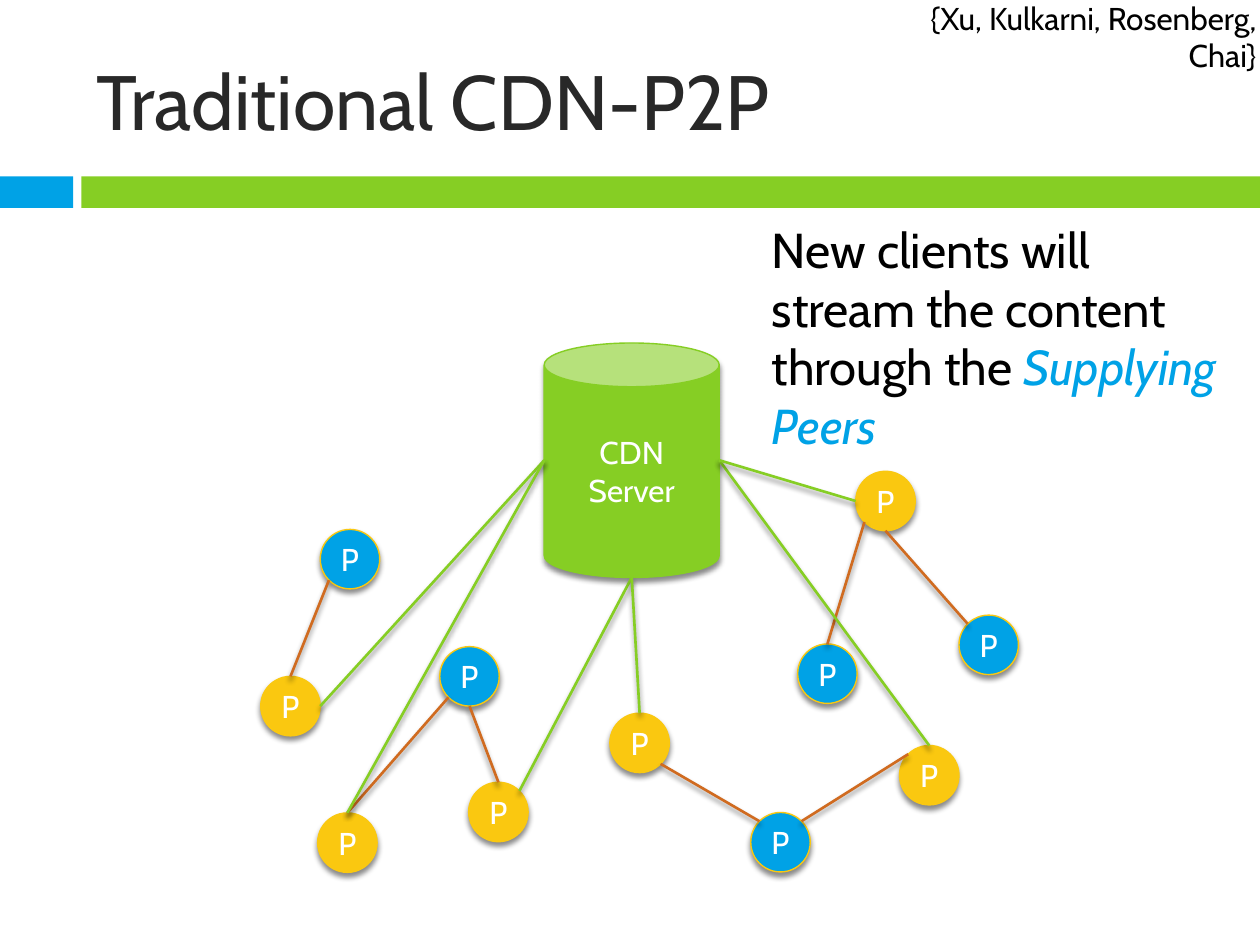
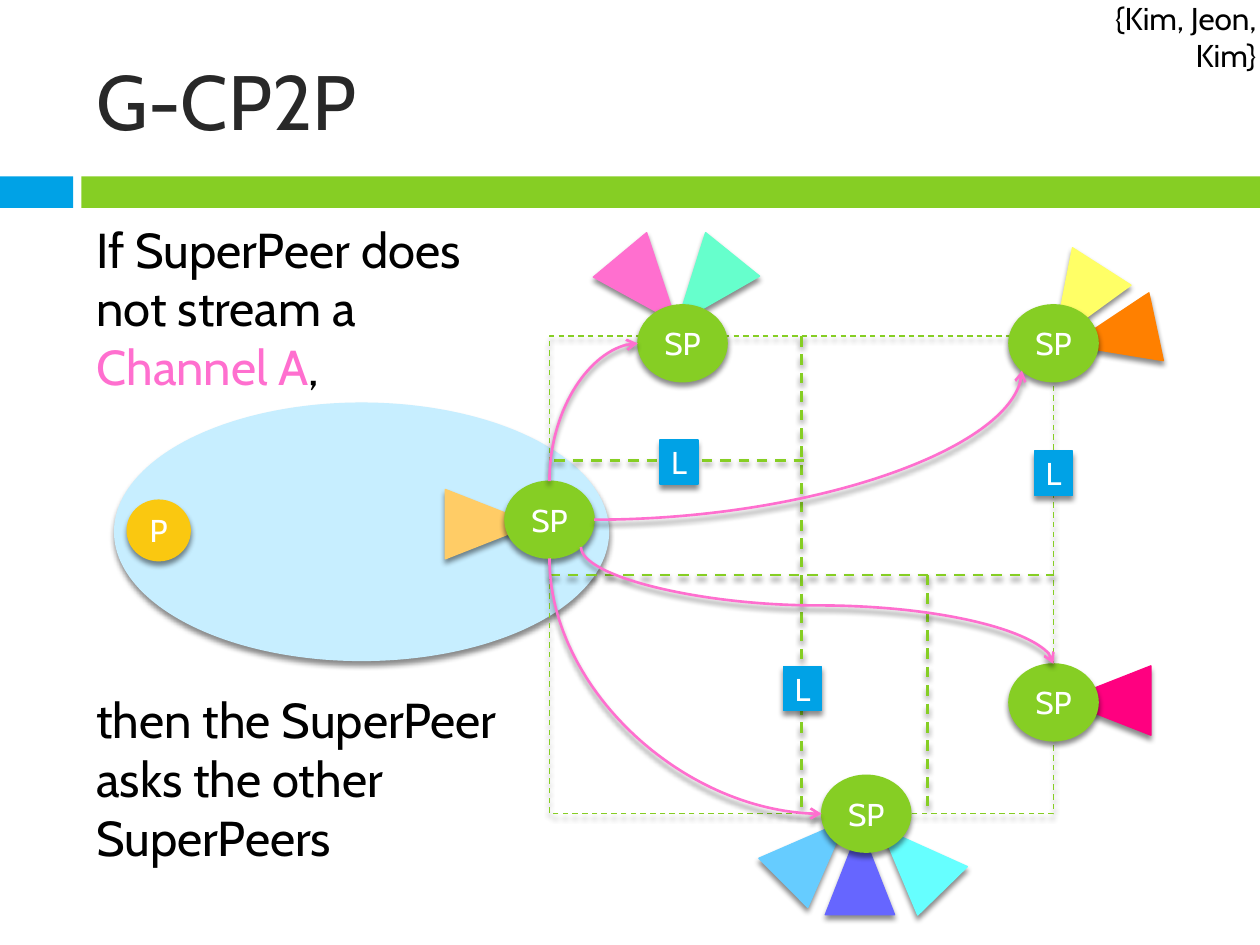
from dataclasses import dataclass
from math import sqrt

from lxml.etree import SubElement
from pptx import Presentation
from pptx.dml.color import RGBColor
from pptx.enum.dml import MSO_LINE
from pptx.enum.shapes import MSO_CONNECTOR as Link, MSO_SHAPE as Form
from pptx.enum.text import MSO_ANCHOR as Anchor, PP_ALIGN as Align
from pptx.oxml.ns import qn
from pptx.util import Pt


@dataclass(frozen=True)
class Theme:
    font: str = "Cabin"
    title_size: int = 44
    body_size: int = 28
    label_size: int = 18
    outline: float = 0.8
    stroke: float = 1.5
    title: str = "282828"
    text: str = "000000"
    white: str = "FFFFFF"
    blue: str = "00A2E6"
    green: str = "86CE24"
    gold: str = "FAC810"
    rust: str = "D06B20"
    pink: str = "FF6FCF"
    pale_blue: str = "C7EEFF"


THEME = Theme()


@dataclass(frozen=True)
class Box:
    left: float
    top: float
    width: float
    height: float

    def at(self, dx, dy):
        return self.left + dx, self.top + dy

    def inner(self, dx, dy, width, height):
        return Box(*self.at(dx, dy), width, height)

    def centred(self, dx, dy, width, height):
        return self.inner(dx - width / 2, dy - height / 2, width, height)

    def site(self, compass):
        """Point where a link meets the outline of an ellipse filling the box."""
        east = ("e" in compass) - ("w" in compass)
        south = ("s" in compass) - ("n" in compass)
        reach = 1 / sqrt(2) if east and south else 1
        return self.at(self.width * (1 + east * reach) / 2,
                       self.height * (1 + south * reach) / 2)

    def emu(self):
        return [Pt(n) for n in (self.left, self.top, self.width, self.height)]


SLIDE = Box(0, 0, 720, 540)
TITLE = Box(48, 18, 642, 78)
BAND = Box(0, 100.8, 720, 18)


def write(shape, paragraphs, size=THEME.label_size, color=THEME.text, align=Align.LEFT,
          anchor=Anchor.TOP, inset=(7.2, 3.6), gaps=None):
    """Fill a shape with paragraphs, each a list of (text, color, italic) runs or a string.

    gaps maps a paragraph's index to the space before it.
    """
    frame = shape.text_frame
    frame.word_wrap = True
    frame.vertical_anchor = anchor
    frame.margin_left = frame.margin_right = Pt(inset[0])
    frame.margin_top = frame.margin_bottom = Pt(inset[1])
    for index, runs in enumerate(paragraphs):
        paragraph = frame.add_paragraph() if index else frame.paragraphs[0]
        paragraph.alignment = align
        paragraph.space_before = Pt((gaps or {}).get(index, 0))
        for words, tint, italic in [(runs, color, False)] if isinstance(runs, str) else runs:
            run = paragraph.add_run()
            run.text = words
            run.font.name = THEME.font
            run.font.size = Pt(size)
            run.font.italic = italic
            run.font.color.rgb = RGBColor.from_string(tint)


def add_text(slide, box, paragraphs, **style):
    write(slide.shapes.add_textbox(*box.emu()), paragraphs, **style)


def cast_shadow(properties):
    effects = properties.find(qn("a:effectLst"))
    if effects is None:
        effects = SubElement(properties, qn("a:effectLst"))
    shadow = SubElement(effects, qn("a:outerShdw"), blurRad=str(Pt(3)), dist=str(Pt(2.4)),
                        dir="5400000", rotWithShape="0")
    black = SubElement(shadow, qn("a:srgbClr"), val="000000")
    SubElement(black, qn("a:alpha"), val="45000")


def set_line(line, color, width, dashed=False):
    line.color.rgb = RGBColor.from_string(color)
    line.width = Pt(width)
    if dashed:
        line.dash_style = MSO_LINE.DASH


def draw(slide, form, box, fill=None, outline=None, rotation=0, dashed=False,
         shadowed=True, label=None, inset=(0, 0)):
    shape = slide.shapes.add_shape(form, *box.emu())
    shape.rotation = rotation
    shape.shadow.inherit = False
    if fill:
        shape.fill.solid()
        shape.fill.fore_color.rgb = RGBColor.from_string(fill)
    else:
        shape.fill.background()
    if shadowed:
        set_line(shape.line, outline or fill, THEME.outline, dashed)
        cast_shadow(shape._element.spPr)
    else:
        shape.line.fill.background()
    if label:
        write(shape, [label], color=THEME.white, align=Align.CENTER,
              anchor=Anchor.MIDDLE, inset=inset)


def connect(slide, start, end, color, dashed=False, kind=Link.STRAIGHT):
    connector = slide.shapes.add_connector(kind, *[Pt(n) for n in (*start, *end)])
    set_line(connector.line, color, THEME.stroke, dashed)
    cast_shadow(connector._element.spPr)
    return connector


def request_arrow(slide, start, end, preset, leaves_vertically):
    """Curved arrow to the right; a vertical start needs a frame turned by 270 degrees."""
    (x1, y1), (x2, y2) = start, end
    if leaves_vertically:
        mid_x, mid_y = (x1 + x2) / 2, (y1 + y2) / 2
        half_width, half_height = abs(y2 - y1) / 2, abs(x2 - x1) / 2
        start = mid_x - half_width, mid_y - half_height
        end = mid_x + half_width, mid_y + half_height
    connector = connect(slide, start, end, THEME.pink, kind=Link.CURVE)
    properties = connector._element.spPr
    properties.find(qn("a:prstGeom")).set("prst", preset)
    if leaves_vertically:
        frame = properties.find(qn("a:xfrm"))
        frame.set("rot", "16200000")
        if y2 > y1:
            frame.set("flipH", "1")
    SubElement(properties.find(qn("a:ln")), qn("a:tailEnd"), type="arrow")


def add_frame(deck, title, citation, citation_box):
    """Start a slide with the band, title and citation that all slides share."""
    slide = deck.slides.add_slide(deck.slide_layouts[6])
    draw(slide, Form.RECTANGLE, BAND.inner(0, 0, 41.8, BAND.height), THEME.blue, shadowed=False)
    draw(slide, Form.RECTANGLE, BAND.inner(46.5, 0, BAND.width - 46.5, BAND.height),
         THEME.green, shadowed=False)
    add_text(slide, TITLE, [title], size=THEME.title_size, color=THEME.title,
             anchor=Anchor.MIDDLE)
    add_text(slide, citation_box, [citation], align=Align.RIGHT)
    return slide


def add_peer_network(slide, box):
    server = box.inner(162, 0, 100, 134)
    draw(slide, Form.CAN, server, THEME.green, label="CDN Server", inset=(7.2, 3.6))

    suppliers = {"west": (0, 190.5), "southwest": (32.5, 268.5), "south": (118.8, 251),
                 "centre": (199.5, 211.5), "southeast": (365, 230), "northeast": (340, 73.3)}
    clients = {"northwest": (34, 106.5), "inner west": (102.3, 173.5),
               "bottom": (280, 268.3), "inner east": (306.8, 172), "east": (399, 155.5)}
    peers = {}
    for group, fill in ((suppliers, THEME.gold), (clients, THEME.blue)):
        for name, corner in group.items():
            peers[name] = box.inner(*corner, 34, 34)
            draw(slide, Form.OVAL, peers[name], fill, THEME.gold, label="P")

    for supplier, supplier_site, client, client_site in (
            ("west", "n", "northwest", "sw"), ("southwest", "n", "inner west", "sw"),
            ("south", "n", "inner west", "s"), ("centre", "se", "bottom", "nw"),
            ("southeast", "nw", "bottom", "ne"), ("northeast", "s", "east", "nw"),
            ("northeast", "sw", "inner east", "n")):
        connect(slide, peers[supplier].site(supplier_site), peers[client].site(client_site),
                THEME.rust)
    for supplier, supplier_site, server_site in (
            ("west", "e", "w"), ("southwest", "n", "w"), ("south", "ne", "s"),
            ("centre", "n", "s"), ("southeast", "n", "e"), ("northeast", "w", "e")):
        connect(slide, peers[supplier].site(supplier_site), server.site(server_site),
                THEME.green)


def add_peer_group(slide, box):
    draw(slide, Form.OVAL, box, THEME.pale_blue)
    draw(slide, Form.OVAL, box.inner(7.2, 55.4, 36, 34.6), THEME.gold, label="P")


def add_channels(slide, box):
    for dx, dy, rotation, color in (
            (302, -18.5, 212.6, "FFFF66"), (322, 0, 257.9, "FF8000"),
            (318.5, 208.3, 270, "FF0080"), (207, 299, 315.7, "66FFFF"),
            (177.4, 305.5, 0, "6666FF"), (151.5, 294.7, 45.1, "66CCFF"),
            (-34.3, 107.5, 90, "FFCC66"), (88.8, -27, 218.9, "66FFCC"),
            (56.4, -27, 140.2, THEME.pink)):
        draw(slide, Form.ISOSCELES_TRIANGLE, box.centred(dx, dy, 39.6, 50.4), color,
             rotation=rotation)


def add_grid(slide, box):
    draw(slide, Form.RECTANGLE, box, outline=THEME.green, dashed=True)
    for x1, y1, x2, y2 in ((0.5, 0, 0.5, 1), (0, 0.5, 1, 0.5),
                           (0.01, 0.26, 0.51, 0.26), (0.75, 0.5, 0.75, 1)):
        connect(slide, box.at(x1 * box.width, y1 * box.height),
                box.at(x2 * box.width, y2 * box.height), THEME.green, dashed=True)


def add_super_peers(slide, box):
    centres = {"north": (76, 4.2), "west": (0, 105), "south": (181, 273),
               "east": (288, 209.4), "northeast": (288, 4.2)}
    peers = {name: box.centred(*centre, 51, 44) for name, centre in centres.items()}
    for peer in peers.values():
        draw(slide, Form.OVAL, peer, THEME.green, label="SP")
    for centre in ((74, 72), (144.6, 201.5), (288, 78.4)):
        draw(slide, Form.RECTANGLE, box.centred(*centre, 21.6, 25.2), THEME.blue, label="L")
    for leaving, target, arriving, preset, vertical in (
            ("n", "north", "w", "curvedConnector2", True),
            ("e", "northeast", "sw", "curvedConnector2", False),
            ("se", "east", "n", "curvedConnector3", True),
            ("s", "south", "w", "curvedConnector2", True)):
        request_arrow(slide, peers["west"].site(leaving), peers[target].site(arriving),
                      preset, vertical)


def build_traditional(deck):
    slide = add_frame(deck, "Traditional CDN-P2P", "{Xu, Kulkarni, Rosenberg, Chai}",
                      Box(486, -4.3, 239, 29))
    add_peer_network(slide, Box(149, 196, 433, 302))
    add_text(slide, Box(434, 121.7, 274, 109),
             [[("New clients will stream the content through the ", THEME.text, False),
               ("Supplying Peers", THEME.blue, True)]], size=THEME.body_size)


def build_grid_based(deck):
    slide = add_frame(deck, "G-CP2P", "{Kim, Jeon, Kim}", Box(594.7, -4.3, 130.3, 29))
    grid = Box(314, 192, 288, 273)
    add_peer_group(slide, Box(65.5, 230.4, 282.2, 147))
    add_channels(slide, grid)
    add_grid(slide, grid)
    add_super_peers(slide, grid)
    add_text(slide, Box(48, 121.7, 265.7, 380),
             ["If SuperPeer does not stream a",
              [("Channel A", THEME.pink, False), (",", THEME.text, False)],
              "then the SuperPeer", "asks the other SuperPeers"],
             size=THEME.body_size, gaps={2: 168})


def main():
    deck = Presentation()
    deck.slide_width, deck.slide_height = Pt(SLIDE.width), Pt(SLIDE.height)
    build_traditional(deck)
    build_grid_based(deck)
    deck.save("out.pptx")


if __name__ == "__main__":
    main()
